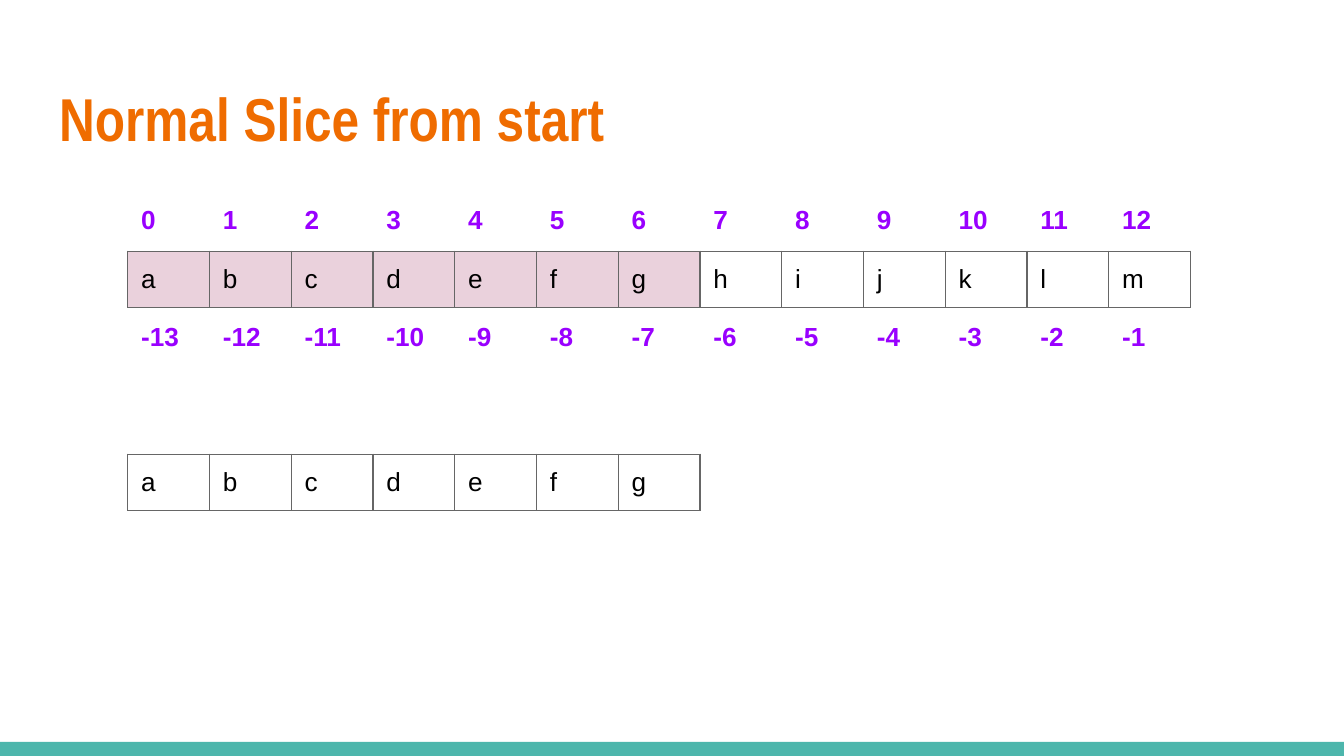
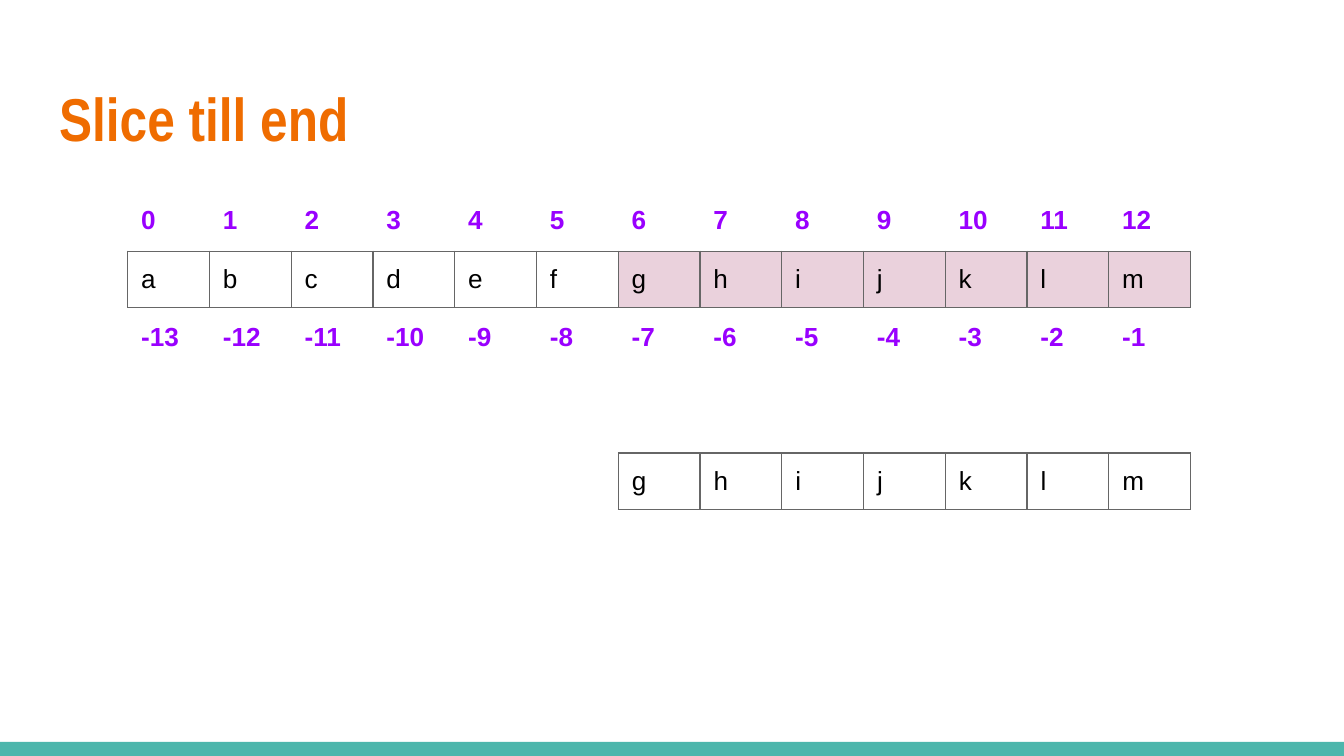
from dataclasses import dataclass
from typing import Sequence

from lxml.etree import SubElement
from pptx import Presentation
from pptx.dml.color import RGBColor
from pptx.enum.shapes import MSO_SHAPE
from pptx.enum.text import MSO_ANCHOR, MSO_AUTO_SIZE, PP_ALIGN
from pptx.oxml.ns import qn
from pptx.util import Inches, Pt

WHITE = "FFFFFF"
BLACK = "000000"
TEAL = "4DB6AC"
ORANGE = "EF6C00"
PURPLE = "9900FF"
PINK = "EAD1DC"
GREY = "666666"

LETTERS = "abcdefghijklm"
COUNT = len(LETTERS)
ROW_LEFT = 0.95
CELL_WIDTH = 7.91 / COUNT
CELL_HEIGHT = 0.42
PADDING = Inches(0.1)


@dataclass(frozen=True)
class CellRow:
    values: Sequence[str]
    top: float
    first_column: int = 0
    color: str = BLACK
    bold: bool = False
    border: str = GREY
    marked: range = range(0)


@dataclass(frozen=True)
class SliceExample:
    title: str
    selected: range
    result_top: float


EXAMPLES = (
    SliceExample("Normal Slice from start", range(0, 7), 3.38),
    SliceExample("Slice till end", range(6, COUNT), 3.37),
)


def rgb(color: str) -> RGBColor:
    return RGBColor.from_string(color)


def write_text(frame, text: str, *, font: str, size: float, color: str, bold: bool) -> None:
    paragraph = frame.paragraphs[0]
    paragraph.alignment = PP_ALIGN.LEFT
    run = paragraph.add_run()
    run.text = text
    run.font.name = font
    run.font.size = Pt(size)
    run.font.bold = bold
    run.font.color.rgb = rgb(color)


def set_borders(cell, color: str) -> None:
    properties = cell._tc.get_or_add_tcPr()
    for side in ("lnL", "lnR", "lnT", "lnB"):
        line = SubElement(properties, qn(f"a:{side}"), w=str(Pt(0.75)))
        fill = SubElement(line, qn("a:solidFill"))
        SubElement(fill, qn("a:srgbClr"), val=color)


def add_cell_row(slide, row: CellRow) -> None:
    left = ROW_LEFT + row.first_column * CELL_WIDTH
    width = len(row.values) * CELL_WIDTH
    table = slide.shapes.add_table(
        1, len(row.values), Inches(left), Inches(row.top), Inches(width), Inches(CELL_HEIGHT)
    ).table
    table.first_row = False
    table.horz_banding = False
    for index, value in enumerate(row.values):
        table.columns[index].width = Inches(CELL_WIDTH)
        cell = table.cell(0, index)
        cell.margin_left = cell.margin_right = PADDING
        cell.margin_top = cell.margin_bottom = PADDING
        set_borders(cell, row.border)
        cell.fill.solid()
        cell.fill.fore_color.rgb = rgb(PINK if index in row.marked else WHITE)
        write_text(cell.text_frame, value, font="Arial", size=14, color=row.color, bold=row.bold)


def add_index_row(slide, indices: range, top: float) -> None:
    values = [str(index) for index in indices]
    add_cell_row(slide, CellRow(values, top, color=PURPLE, bold=True, border=WHITE))


def add_band(slide) -> None:
    band = slide.shapes.add_shape(
        MSO_SHAPE.RECTANGLE, Inches(0), Inches(5.52), Inches(10), Inches(0.11)
    )
    band.shadow.inherit = False
    band.fill.solid()
    band.fill.fore_color.rgb = rgb(TEAL)
    band.line.fill.background()


def set_title(slide, text: str) -> None:
    title = slide.shapes.title
    title.left, title.top = Inches(0.34), Inches(0.49)
    title.width, title.height = Inches(9.32), Inches(0.77)
    frame = title.text_frame
    frame.margin_left = frame.margin_right = PADDING
    frame.margin_top = frame.margin_bottom = PADDING
    frame.vertical_anchor = MSO_ANCHOR.MIDDLE
    frame.auto_size = MSO_AUTO_SIZE.NONE
    frame.word_wrap = True
    write_text(frame, text, font="Arial Narrow", size=32.4, color=ORANGE, bold=True)


def add_example_slide(presentation, example: SliceExample) -> None:
    slide = presentation.slides.add_slide(presentation.slide_layouts[5])
    slide.background.fill.solid()
    slide.background.fill.fore_color.rgb = rgb(WHITE)
    add_band(slide)
    set_title(slide, example.title)
    selected = example.selected
    result = LETTERS[selected.start:selected.stop]
    add_cell_row(slide, CellRow(LETTERS, 1.87, marked=selected))
    add_cell_row(slide, CellRow(result, example.result_top, first_column=selected.start))
    add_index_row(slide, range(COUNT), 1.43)
    add_index_row(slide, range(-COUNT, 0), 2.3)


def main() -> None:
    presentation = Presentation()
    presentation.slide_width = Inches(10)
    presentation.slide_height = Inches(5.625)
    for example in EXAMPLES:
        add_example_slide(presentation, example)
    presentation.save("out.pptx")


if __name__ == "__main__":
    main()
